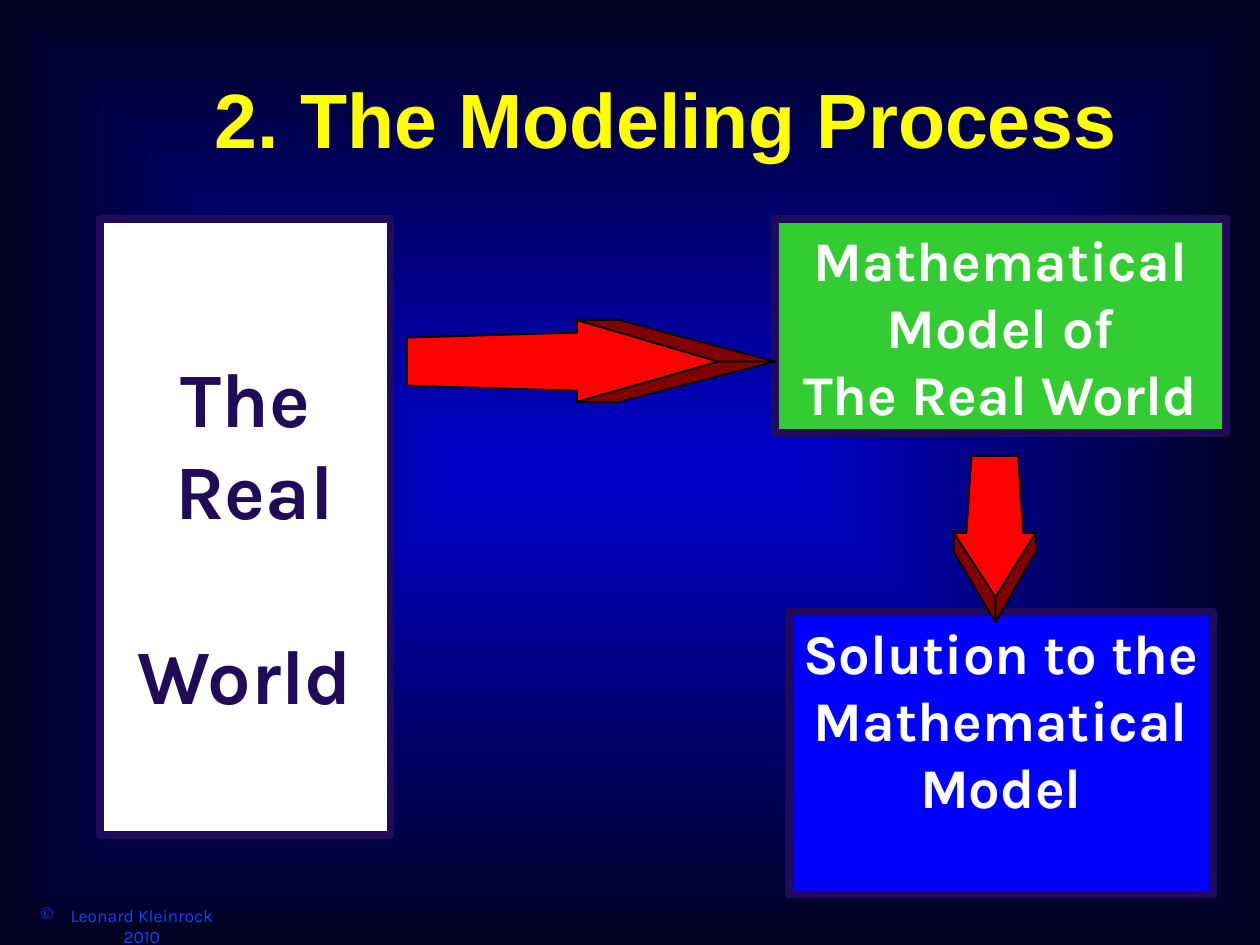
from dataclasses import dataclass

from pptx import Presentation
from pptx import util as u
from pptx.dml.color import RGBColor
from pptx.enum import shapes, text
from pptx.oxml import parse_xml
from pptx.oxml.ns import nsdecls

COLS, ROWS = 100, 75
CELL = u.Inches(0.1)
NAVY, WHITE, RED, MAROON = "200B5B", "FFFFFF", "FF0000", "800000"

Point = tuple[float, float]


@dataclass(frozen=True)
class Area:
    col: float
    row: float
    cols: float
    rows: float

    def emu(self) -> list[int]:
        return [grid(n) for n in (self.col, self.row, self.cols, self.rows)]


@dataclass(frozen=True)
class Style:
    size: float
    color: str
    name: str = "Karla"
    bold: bool = True


@dataclass(frozen=True)
class Box:
    area: Area
    fill: str
    lines: tuple[str, ...] = ()


@dataclass(frozen=True)
class Facet:
    fill: str
    points: tuple[Point, ...]


def grid(n: float) -> int:
    return round(n * CELL)


def rgb(value: str) -> RGBColor:
    return RGBColor.from_string(value)


def paint(sp, fill: str, line: str, width: float) -> None:
    sp.shadow.inherit = False
    sp.fill.solid()
    sp.fill.fore_color.rgb = rgb(fill)
    sp.line.color.rgb = rgb(line)
    sp.line.width = u.Pt(width)


def write(sp, lines: tuple[str, ...], style: Style, anchor=text.MSO_ANCHOR.TOP) -> None:
    tf = sp.text_frame
    tf.word_wrap = True
    tf.vertical_anchor = anchor
    for i, line in enumerate(lines):
        p = tf.paragraphs[0] if i == 0 else tf.add_paragraph()
        p.alignment = text.PP_ALIGN.CENTER
        r = p.add_run()
        r.text = line
        form = {"size": u.Pt(style.size), "name": style.name, "bold": style.bold}
        for key, value in form.items():
            setattr(r.font, key, value)
        r.font.color.rgb = rgb(style.color)


def add_backdrop(s) -> None:
    sp = s.shapes.add_shape(shapes.MSO_SHAPE.RECTANGLE, *Area(0, 0, COLS, ROWS).emu())
    sp.shadow.inherit = False
    sp.line.fill.background()
    sp.fill.gradient()
    old = sp.fill._xPr.gradFill
    new = parse_xml(
        f'<a:gradFill {nsdecls("a")} rotWithShape="0"><a:gsLst>'
        '<a:gs pos="0"><a:srgbClr val="0000CC"/></a:gs>'
        '<a:gs pos="100000"><a:srgbClr val="00001F"/></a:gs></a:gsLst>'
        '<a:path path="rect"><a:fillToRect l="50000" t="50000" r="50000" b="50000"/>'
        "</a:path></a:gradFill>"
    )
    old.getparent().replace(old, new)


def add_label(s, area: Area, lines: tuple[str, ...], style: Style, **kw):
    sp = s.shapes.add_textbox(*area.emu())
    write(sp, lines, style, **kw)
    return sp


def add_copyright(s) -> None:
    sp = add_label(s, Area(0.9, 71.3, 18.3, 2.7), ("Leonard Kleinrock 2010",),
                   Style(10, "0E46FF", bold=False))
    pPr = sp.text_frame.paragraphs[0]._p.get_or_add_pPr()
    pPr.set("marL", str(grid(2.4)))
    pPr.set("indent", str(grid(-2.4)))
    for xml in (
        f'<a:buClr {nsdecls("a")}><a:srgbClr val="0E46FF"/></a:buClr>',
        f'<a:buChar {nsdecls("a")} char="©"/>',
    ):
        pPr.append(parse_xml(xml))


def add_box(s, box: Box) -> None:
    sp = s.shapes.add_shape(shapes.MSO_SHAPE.RECTANGLE, *box.area.emu())
    paint(sp, box.fill, NAVY, 4.5)
    write(sp, box.lines, Style(32, WHITE))


def add_arrow(s, facets: tuple[Facet, ...]) -> None:
    for facet in facets:
        first, *rest = [(grid(x), grid(y)) for x, y in facet.points]
        fb = s.shapes.build_freeform(*first)
        fb.add_line_segments(rest, close=True)
        paint(fb.convert_to_shape(), facet.fill, "000000", 1)


WORLD = Box(Area(7.9, 17.4, 23.1, 48.9), WHITE)
MODEL = Box(Area(61.5, 17.4, 35.8, 17), "33CC33",
            ("Mathematical", "Model of", "The Real World"))
SOLUTION = Box(Area(62.6, 48.6, 33.7, 22.4), "0000FF",
               ("Solution to the", "Mathematical", "Model"))

TO_MODEL = (
    Facet(RED, ((32.3, 30.6), (32.3, 26.8), (45.8, 26.4), (45.8, 25.4),
                (57, 28.7), (45.8, 31.9), (45.8, 31))),
    Facet(MAROON, ((45.8, 31.9), (57, 28.7), (61.5, 28.7), (49.1, 31.9))),
    Facet(MAROON, ((57, 28.7), (61.5, 28.7), (49.1, 25.4), (45.8, 25.4))),
)
TO_SOLUTION = (
    Facet(RED, ((77.1, 36.2), (80.8, 36.2), (81.2, 42.3), (82.2, 42.3),
                (79, 47.4), (75.7, 42.3), (76.7, 42.3))),
    Facet(MAROON, ((75.7, 42.3), (79, 47.4), (79, 49.4), (75.7, 43.8))),
    Facet(MAROON, ((79, 47.4), (79, 49.4), (82.2, 43.8), (82.2, 42.3))),
)


def main() -> None:
    prs = Presentation()
    prs.slide_width, prs.slide_height = COLS * CELL, ROWS * CELL
    s = prs.slides.add_slide(prs.slide_layouts[6])
    add_backdrop(s)
    add_copyright(s)
    add_label(s, Area(10.4, 3.1, 85, 12.5), ("2. The Modeling Process",),
              Style(44, "FFFF00", "Arial"), anchor=text.MSO_ANCHOR.MIDDLE)
    add_box(s, WORLD)
    sp = add_label(s, Area(9.2, 27.3, 20.5, 30.4), ("The", " Real", "World"),
                   Style(44, NAVY))
    sp.text_frame.paragraphs[-1].space_before = u.Pt(53)
    for box, arrow in ((MODEL, TO_MODEL), (SOLUTION, TO_SOLUTION)):
        add_box(s, box)
        add_arrow(s, arrow)
    prs.save("out.pptx")


if __name__ == "__main__":
    main()
